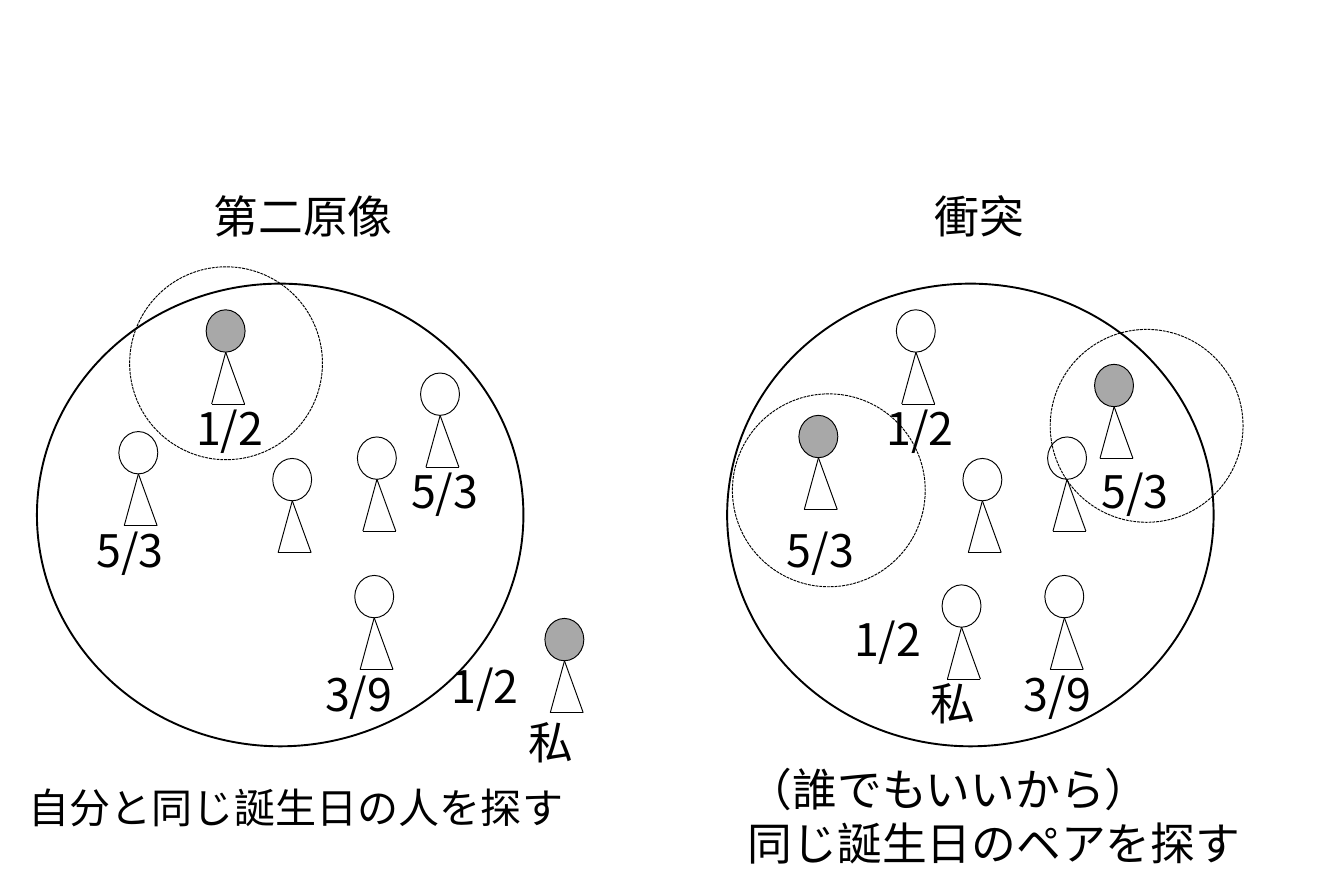
from lxml.etree import SubElement
from pptx import Presentation
from pptx.dml.color import RGBColor
from pptx.enum.dml import MSO_LINE
from pptx.enum.shapes import MSO_CONNECTOR, MSO_SHAPE
from pptx.enum.text import MSO_AUTO_SIZE
from pptx.oxml.ns import qn
from pptx.util import Pt

PX = 2286  # EMU per px, 400 px to the inch
FONT = "Noto Sans CJK JP"
COLORS = {"ink": "000000"}
INK = RGBColor.from_string(COLORS["ink"])

RING_W, RING_H = 724, 688
PAIR_SIZE = 287
HEAD_W, HEAD_H = 58, 63
DATE_W, LINE_H = 172, 100


def emu(*lengths):
    return [v * PX for v in lengths]


def add_ellipse(shapes, x, y, w, h, width=0.25, dashed=False, shaded=False):
    sp = shapes.add_shape(MSO_SHAPE.OVAL, *emu(x, y, w, h))
    sp.shadow.inherit = False
    sp.line.color.rgb = INK
    sp.line.width = Pt(width)
    if dashed:
        sp.line.dash_style = MSO_LINE.SQUARE_DOT
    if shaded:
        sp.fill.solid()
        sp.fill.fore_color.rgb = INK
        color = sp._element.spPr.find(qn("a:solidFill"))[0]
        SubElement(color, qn("a:alpha"), val="34000")
    else:
        sp.fill.background()


def add_line(shapes, start, end):
    line = shapes.add_connector(MSO_CONNECTOR.STRAIGHT, *emu(*start, *end))
    line.line.color.rgb = INK
    line.line.width = Pt(0.25)
    SubElement(line._element.spPr, qn("a:effectLst"))


def add_person(slide, x, y, shaded=False):
    shapes = slide.shapes.add_group_shape().shapes
    add_ellipse(shapes, x, y, HEAD_W, HEAD_H, shaded=shaded)
    # Body: three sides below the head
    neck = (x + HEAD_W // 2, y + HEAD_H)
    left, right = (x + 8, y + 140), (x + 57, y + 140)
    for start, end in ((neck, left), (right, left), (neck, right)):
        add_line(shapes, start, end)


def add_label(slide, text, x, y, w, h=LINE_H, size=12):
    tf = slide.shapes.add_textbox(*emu(x, y, w, h)).text_frame
    tf.word_wrap = False
    tf.auto_size = MSO_AUTO_SIZE.SHAPE_TO_FIT_TEXT
    tf.margin_left = tf.margin_right = 20 * PX
    tf.margin_top = tf.margin_bottom = 8 * PX
    p = tf.paragraphs[0]
    p.text = text
    p.font.size = Pt(size)
    p.font.color.rgb = INK
    p.font.name = FONT
    SubElement(p._p.pPr.find(qn("a:defRPr")), qn("a:ea"), typeface=FONT)


def add_panel(slide, box, title, people, matches, pairs, dates, me, caption):
    """Draw one birthday scene, placed from the top left of its ring."""
    x, y, w, h = box
    add_ellipse(slide.shapes, x, y, w, h, width=0.5)
    for dx, dy in pairs:
        add_ellipse(slide.shapes, x + dx, y + dy, PAIR_SIZE, PAIR_SIZE, dashed=True)

    # People, with those sharing a birthday shaded
    for group, shaded in ((people, False), (matches, True)):
        for dx, dy in group:
            add_person(slide, x + dx, y + dy, shaded)

    # Birthdays and names
    for text, dx, dy in dates:
        add_label(slide, text, x + dx, y + dy, DATE_W)
    add_label(slide, "私", x + me[0], y + me[1], 108)

    # Title and caption
    text, dx, title_w = title
    add_label(slide, text, x + dx, y - 150, title_w)
    text, dx, dy, *rest = caption
    add_label(slide, text, x + dx, y + dy, *rest)


def main():
    prs = Presentation()
    prs.slide_width, prs.slide_height = emu(2000, 1300)
    slide = prs.slides.add_slide(prs.slide_layouts[6])

    shared_people = [(473, 434), (477, 228), (351, 260)]
    shared_dates = [("1/2", 217, 166), ("5/3", 69, 347), ("5/3", 537, 260)]

    # Second preimage
    add_panel(
        slide, (55, 422, RING_W, RING_H),
        title=("第二原像", 243, 312),
        people=shared_people + [(122, 220), (571, 133)],
        matches=[(252, 39), (756, 498)],
        pairs=[(138, -25)],
        dates=shared_dates + [("1/2", 597, 550), ("3/9", 409, 562)],
        me=(711, 633),
        caption=("自分と同じ誕生日の人を探す", -33, 734, 844, 92, 11),
    )

    # Collision
    add_panel(
        slide, (1082, 422, RING_W, RING_H),
        title=("衝突", 289, 182),
        people=shared_people + [(320, 448), (252, 39)],
        matches=[(107, 196), (547, 120)],
        pairs=[(481, 68), (8, 164)],
        dates=shared_dates + [("1/2", 169, 480), ("3/9", 422, 562)],
        me=(283, 575),
        caption=("（誰でもいいから）\v同じ誕生日のペアを探す", 11, 703, 782, 180),
    )

    prs.save("out.pptx")


if __name__ == "__main__":
    main()
